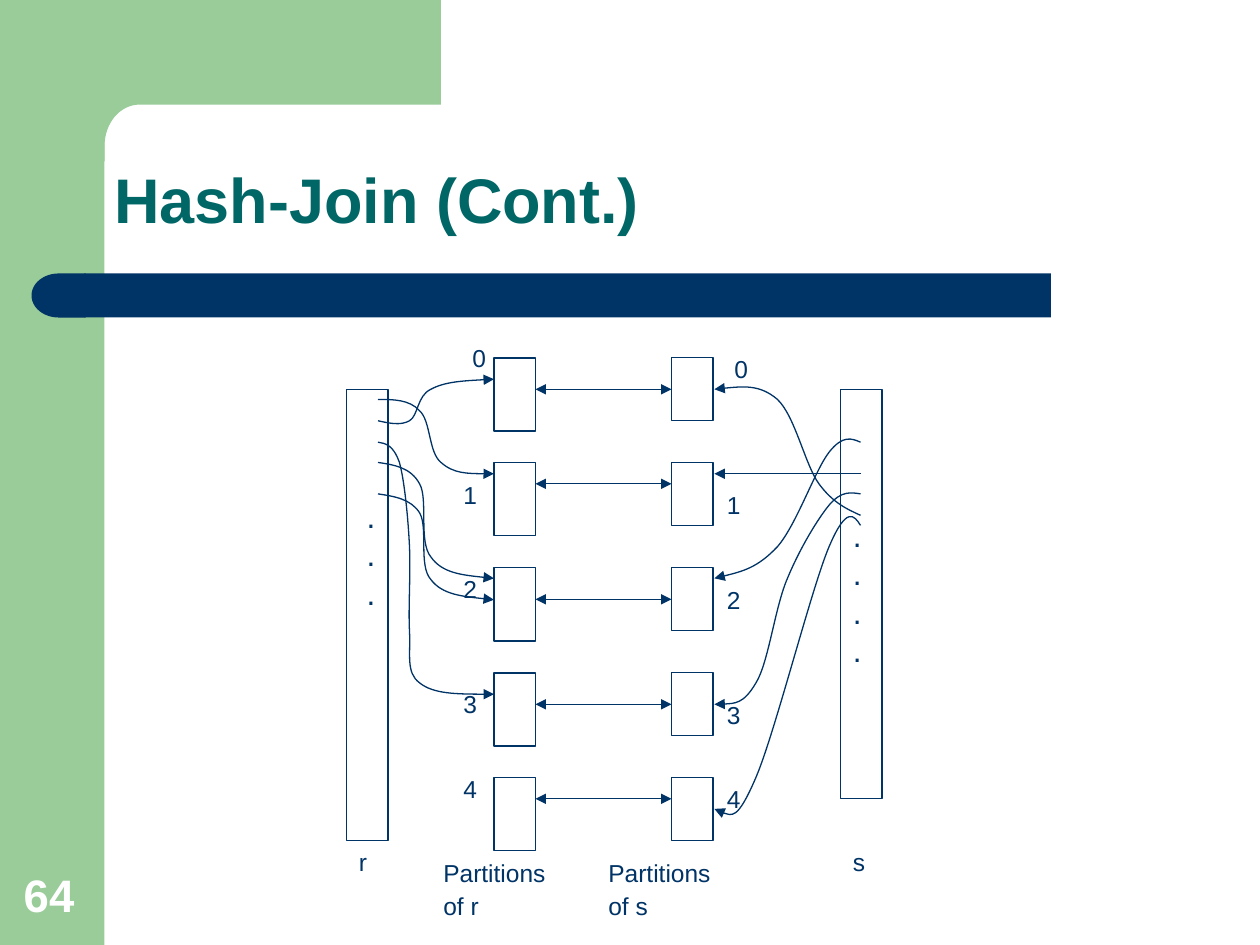
"""Build the hash-join slide that shows how r and s are partitioned."""
from dataclasses import dataclass

from lxml import etree
from pptx import Presentation
from pptx.dml.color import RGBColor
from pptx.enum.shapes import MSO_CONNECTOR, MSO_SHAPE
from pptx.enum.text import MSO_ANCHOR, PP_ALIGN
from pptx.oxml.ns import qn
from pptx.util import Inches, Pt

RECTANGLE = MSO_SHAPE.RECTANGLE
DELAY = MSO_SHAPE.FLOWCHART_DELAY
STRAIGHT = MSO_CONNECTOR.STRAIGHT
TOP, BOTTOM = MSO_ANCHOR.TOP, MSO_ANCHOR.BOTTOM
LEFT = PP_ALIGN.LEFT
LEFT_SIDE = 1


@dataclass(frozen=True)
class Theme:
    font: str = "Arial"
    navy: RGBColor = RGBColor(0x00, 0x33, 0x66)
    green: RGBColor = RGBColor(0x99, 0xCC, 0x99)
    teal: RGBColor = RGBColor(0x00, 0x66, 0x66)
    white: RGBColor = RGBColor(0xFF, 0xFF, 0xFF)
    title: float = 36
    number: float = 26
    dots: float = 18
    label: float = 14
    line: float = 0.75


class SlideBuilder:
    def __init__(self, page, theme):
        self.page = page
        self.theme = theme

    def paint(self, shape, fill=None):
        shape.shadow.inherit = False
        if fill is None:
            shape.fill.background()
            self.stroke(shape)
        else:
            shape.fill.solid()
            shape.fill.fore_color.rgb = fill
            shape.line.fill.background()

    def stroke(self, shape, *arrow_ends):
        shape.line.color.rgb = self.theme.navy
        shape.line.width = Pt(self.theme.line)
        outline = shape._element.spPr.find(qn("a:ln"))
        for end in arrow_ends:
            etree.SubElement(outline, qn(f"a:{end}"), type="triangle")

    def shape(self, left, top, width, height, fill=None, kind=RECTANGLE):
        box = self.page.shapes.add_shape(
            kind, Inches(left), Inches(top), Inches(width), Inches(height))
        self.paint(box, fill)
        return box

    def set_text(self, frame, lines, size, color, bold=False, anchor=TOP,
                 spacing=None, before=0):
        frame.word_wrap = True
        frame.vertical_anchor = anchor
        for index, line in enumerate(lines):
            para = frame.add_paragraph() if index else frame.paragraphs[0]
            para.alignment = LEFT
            para.line_spacing = spacing
            if index:
                para.space_before = Pt(before)
            span = para.add_run()
            span.text = line
            span.font.name = self.theme.font
            span.font.size = Pt(size)
            span.font.bold = bold
            span.font.color.rgb = color

    def text(self, left, top, width, height, lines, size, color, **style):
        box = self.page.shapes.add_textbox(
            Inches(left), Inches(top), Inches(width), Inches(height))
        self.set_text(box.text_frame, lines, size, color, **style)

    def label(self, left, top, text):
        self.text(left, top, 0.35, 0.34, [text], self.theme.label, self.theme.navy)

    def relation(self, left, height, dot_count, dot_left, dot_top):
        box = self.shape(left, 3.09, 0.33, height)
        frame = box.text_frame
        frame.margin_left, frame.margin_right = Inches(dot_left), 0
        frame.margin_top = Inches(dot_top)
        self.set_text(frame, ["."] * dot_count, self.theme.dots, self.theme.navy,
                      spacing=Pt(21.9))

    def arrow(self, start, end, *arrow_ends):
        line = self.page.shapes.add_connector(
            STRAIGHT, *(Inches(value) for value in (*start, *end)))
        self.stroke(line, *arrow_ends)
        etree.SubElement(line._element.spPr, qn("a:effectLst"))
        return line

    def outline(self, start, segments, fill=None):
        """Draw segments of one point as lines and of three points as curves."""
        points = [(Inches(x), Inches(y)) for part in segments for x, y in part]
        builder = self.page.shapes.build_freeform(Inches(start[0]), Inches(start[1]))
        builder.add_line_segments(points, close=fill is not None)
        shape = builder.convert_to_shape()
        steps = iter(list(shape._element.iter(qn("a:lnTo"))))
        for part in segments:
            first, *others = [next(steps) for _ in part]
            if others:
                first.tag = qn("a:cubicBezTo")
                for step in others:
                    first.append(step[0])
                    step.getparent().remove(step)
        self.paint(shape, fill)
        return shape

    def curve(self, start, *segments):
        self.stroke(self.outline(start, segments), "tailEnd")


R_CURVES = [
    ((3, 3.17), ((3.12, 3.17), (3.25, 3.17), (3.33, 3.26)),
     ((3.42, 3.34), (3.4, 3.59), (3.5, 3.67)),
     ((3.6, 3.76), (3.76, 3.76), (3.92, 3.76))),
    ((3, 3.34), ((3.09, 3.36), (3.18, 3.38), (3.25, 3.34)),
     ((3.32, 3.3), (3.31, 3.14), (3.42, 3.09)),
     ((3.53, 3.03), (3.72, 3.02), (3.92, 3.01))),
    ((3, 3.51), ((3.06, 3.52), (3.12, 3.53), (3.17, 3.67)),
     ((3.21, 3.81), (3.24, 4.12), (3.25, 4.34)),
     ((3.26, 4.56), (3.24, 4.82), (3.25, 5.01)),
     ((3.26, 5.19), (3.22, 5.34), (3.33, 5.42)),
     ((3.44, 5.51), (3.68, 5.51), (3.92, 5.51))),
    ((3, 3.67), ((3.13, 3.69), (3.26, 3.71), (3.33, 3.84)),
     ((3.4, 3.96), (3.32, 4.3), (3.42, 4.42)),
     ((3.51, 4.55), (3.72, 4.57), (3.92, 4.59))),
    ((3, 3.92), ((3.13, 3.94), (3.26, 3.96), (3.33, 4.07)),
     ((3.4, 4.19), (3.32, 4.49), (3.42, 4.6)),
     ((3.51, 4.72), (3.72, 4.74), (3.92, 4.76))),
]
S_CURVES = [
    ((6.83, 3.51), ((6.76, 3.48), (6.69, 3.45), (6.58, 3.59)),
     ((6.47, 3.73), (6.32, 4.17), (6.17, 4.34)),
     ((6.01, 4.51), (5.84, 4.55), (5.67, 4.59))),
    ((6.83, 3.92), ((6.76, 3.91), (6.68, 3.89), (6.58, 4.01)),
     ((6.49, 4.12), (6.35, 4.35), (6.25, 4.59)),
     ((6.15, 4.82), (6.1, 5.26), (6, 5.42)),
     ((5.9, 5.59), (5.78, 5.59), (5.67, 5.59))),
    ((6.83, 4.09), ((6.72, 4.04), (6.61, 3.99), (6.5, 3.84)),
     ((6.39, 3.69), (6.31, 3.3), (6.17, 3.17)),
     ((6.03, 3.05), (5.85, 3.07), (5.67, 3.09))),
    ((6.83, 4.17), ((6.78, 4.09), (6.72, 4.01), (6.58, 4.34)),
     ((6.44, 4.67), (6.15, 5.82), (6, 6.17)),
     ((5.85, 6.52), (5.76, 6.47), (5.67, 6.42))),
]
CORNER = [[(3.5, 0.83)], [(1.11, 0.83)], [(0.95, 0.83), (0.83, 0.98), (0.83, 1.16)],
          [(0.83, 1.28)], [(0.5, 1.28)], [(0.5, 0)]]
LINK_HEIGHTS = [3.09, 3.84, 4.76, 5.59, 6.34]
R_LABELS = [(3.65, 2.67), (3.58, 3.76), (3.58, 4.51), (3.58, 5.42), (3.58, 6.09)]
S_LABELS = [(5.73, 2.76), (5.67, 3.84), (5.67, 4.59), (5.67, 5.51), (5.67, 6.17)]


def main():
    deck = Presentation()
    deck.slide_width, deck.slide_height = Inches(10), Inches(7.5)
    theme = Theme()
    slide = SlideBuilder(deck.slides.add_slide(deck.slide_layouts[6]), theme)

    slide.shape(0, 0, 0.83, 7.5, theme.green)
    slide.outline((3.5, 0), CORNER, theme.green)
    slide.shape(0.67, 2.17, 7.67, 0.35, theme.navy)
    slide.shape(0.25, 2.17, 0.43, 0.35, theme.navy, DELAY).rotation = 180
    slide.text(0.09, 6.83, 0.64, 0.53, ["64"], theme.number, theme.white,
               bold=True, anchor=BOTTOM)
    slide.text(0.81, 1.06, 8.37, 0.87, ["Hash-Join (Cont.)"], theme.title,
               theme.teal, bold=True, anchor=BOTTOM, spacing=0.9)

    slide.relation(2.75, 3.58, 3, 0.16, 0.85)
    slide.relation(6.67, 3.25, 4, 0.1, 1)
    for row, link_y in enumerate(LINK_HEIGHTS):
        top = 2.84 + row * 2.5 / 3
        slide.shape(3.92, top, 0.33, 0.58)
        s_partition = slide.shape(5.33, top, 0.33, 0.5)
        link = slide.arrow((4.25, link_y), (5.33, link_y), "headEnd", "tailEnd")
        if abs(top + 0.25 - link_y) < 0.02:
            link.end_connect(s_partition, LEFT_SIDE)
            link.begin_y = link.end_y
        slide.label(*R_LABELS[row], str(row))
        slide.label(*S_LABELS[row], str(row))
    for curve in R_CURVES + S_CURVES:
        slide.curve(*curve)
    slide.arrow((6.83, 3.76), (5.67, 3.76), "tailEnd")

    for name, left, caption_left in (("r", 2.75, 3.42), ("s", 6.67, 4.73)):
        slide.label(left, 6.67, name)
        slide.text(caption_left, 6.84, 1.43, 0.5, ["Partitions", f"of {name}"],
                   theme.label, theme.navy, spacing=0.6, before=8.8)
    deck.save("out.pptx")


if __name__ == "__main__":
    main()
